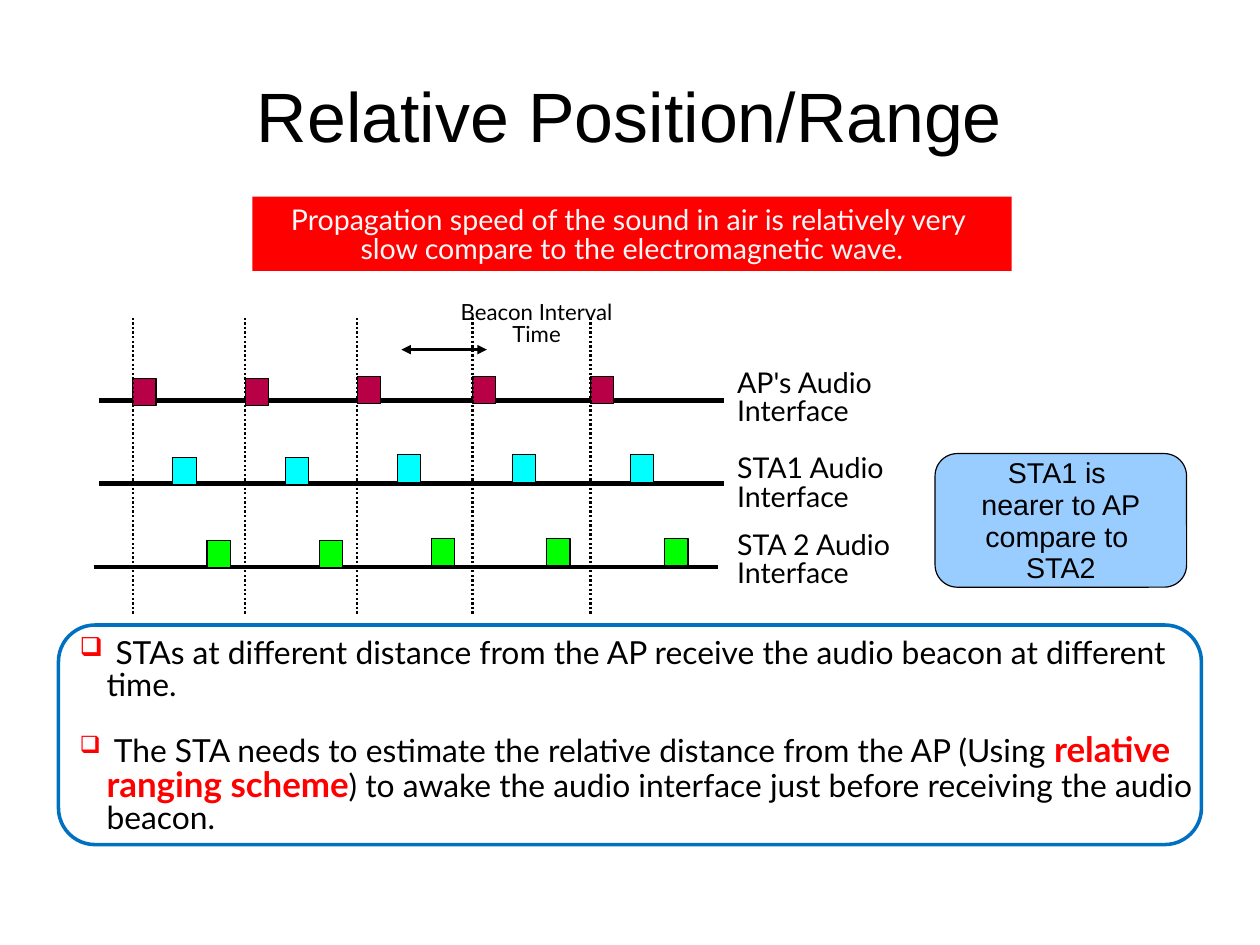
from dataclasses import dataclass

from lxml import etree
from pptx import Presentation
from pptx.dml.color import RGBColor
from pptx.enum import dml, shapes, text
from pptx.oxml import ns
from pptx.util import Cm, Pt

HUE = {"black": "000000", "white": "FFFFFF", "pale": "F8F8F8", "red": "FF0000",
       "blue": "0070C0", "sky": "99CCFF", "wine": "B80047", "cyan": "00FFFF",
       "green": "00FF00"}
BEATS = (2.95, 5.45, 7.94, 10.5, 13.12)
MID = text.PP_ALIGN.CENTER
BOX = shapes.MSO_SHAPE.RECTANGLE
ROUND = shapes.MSO_SHAPE.ROUNDED_RECTANGLE


@dataclass
class Run:
    text: str
    size: float
    color: str = "black"
    bold: bool = False


@dataclass
class Track:
    label: str
    color: str
    left: float
    line: float
    top: float
    delay: float
    label_top: float
    label_wide: float


TRACKS = (
    Track("AP's Audio Interface", "wine", 2.21, 8.9, 8.36, 0, 7.98, 4.24),
    Track("STA1 Audio Interface", "cyan", 2.21, 10.74, 10.11, 0.89, 9.88, 5.38),
    Track("STA 2 Audio Interface", "green", 2.08, 12.6, 11.96, 1.65, 11.58, 4.95),
)


def rgb(name: str) -> RGBColor:
    return RGBColor.from_string(HUE[name])


def shape(kind, x: float, y: float, w: float, h: float, fill: str,
          edge: str = "", width: float = 0.75):
    item = slide.shapes.add_shape(kind, Cm(x), Cm(y), Cm(w), Cm(h))
    item.shadow.inherit = False
    item.fill.solid()
    item.fill.fore_color.rgb = rgb(fill)
    if edge:
        item.line.color.rgb = rgb(edge)
        item.line.width = Pt(width)
    else:
        item.line.fill.background()
    return item


def area(x: float, y: float, w: float, h: float):
    return slide.shapes.add_textbox(Cm(x), Cm(y), Cm(w), Cm(h))


def write(item, *lines, size: float = 18, font: str = "Lato", color: str = "black",
          align=text.PP_ALIGN.LEFT, pitch: float = 0.83, wrap: bool = True,
          anchor=text.MSO_ANCHOR.TOP, pad=(0.25, 0.25, 0.25, 0.13),
          gap: float = 0, bullet: str = "") -> None:
    """Fill a shape; each line is a string or a list of Run."""
    frame = item.text_frame
    frame.word_wrap = wrap
    frame.vertical_anchor = anchor
    (frame.margin_left, frame.margin_top,
     frame.margin_right, frame.margin_bottom) = map(Cm, pad)
    for i, line in enumerate(lines):
        para = frame.add_paragraph() if i else frame.paragraphs[0]
        para.alignment = align
        para.line_spacing = pitch
        para.space_before = Pt(gap if i else 0)
        if bullet:
            mark(para, bullet)
        runs = [Run(line, size, color)] if isinstance(line, str) else line
        for part in runs:
            run = para.add_run()
            run.text = part.text
            run.font.name = font
            run.font.size = Pt(part.size)
            run.font.bold = part.bold
            run.font.color.rgb = rgb(part.color)


def mark(para, sign: str) -> None:
    """Give a paragraph a red hanging bullet."""
    props = para._p.get_or_add_pPr()
    props.set("marL", str(Cm(0.6)))
    props.set("indent", str(-Cm(0.6)))
    tint = etree.SubElement(props, ns.qn("a:buClr"))
    etree.SubElement(tint, ns.qn("a:srgbClr"), val=HUE["red"])
    etree.SubElement(props, ns.qn("a:buSzPct"), val="75000")
    etree.SubElement(props, ns.qn("a:buChar"), char=sign)


def rule(x1: float, y1: float, x2: float, y2: float, width: float,
         dots: bool = False, heads: bool = False) -> None:
    line = slide.shapes.add_connector(shapes.MSO_CONNECTOR.STRAIGHT,
                                      Cm(x1), Cm(y1), Cm(x2), Cm(y2))
    line.line.color.rgb = rgb("black")
    line.line.width = Pt(width)
    if dots:
        line.line.dash_style = dml.MSO_LINE.ROUND_DOT
    if heads:
        stroke = line.line._get_or_add_ln()
        for end in ("a:headEnd", "a:tailEnd"):
            etree.SubElement(stroke, ns.qn(end), type="triangle")
    etree.SubElement(line._element.spPr, ns.qn("a:effectLst"))


def draw(track: Track) -> None:
    rule(track.left, track.line, track.left + 13.87, track.line, 2.89)
    write(area(16.13, track.label_top, track.label_wide, 1.8), track.label)
    for i, beat in enumerate(BEATS):
        drop = 0.05 if i < 2 else 0
        shape(BOX, beat + track.delay, track.top + drop, 0.52, 0.61,
              track.color, "black")


deck = Presentation()
deck.slide_width, deck.slide_height = Cm(28), Cm(21)
slide = deck.slides.add_slide(deck.slide_layouts[6])

write(area(1.4, 0.97, 25.2, 3.25), "Relative Position/Range", size=44, font="Arial",
      align=MID, pitch=0.93, anchor=text.MSO_ANCHOR.MIDDLE, pad=(0, 0.1, 0, 0))
shape(ROUND, 1.3, 13.89, 25.4, 4.88, "white", "blue", 2.25)

for track in TRACKS[:2]:
    draw(track)
for beat in BEATS:
    rule(beat, 7.06, beat, 13.67, 1.45, dots=True)
draw(TRACKS[2])

write(area(1.52, 13.89, 26.04, 4.88),
      [Run(" ", 22),
       Run("STAs at different distance from the AP receive the audio beacon "
           "at different time.", 20)],
      [Run(" The STA needs to estimate the relative distance from the AP (Using ", 20),
       Run("relative ranging scheme", 22, "red", True),
       Run(") to awake the audio interface just before receiving the audio beacon.", 20)],
      gap=20, bullet="❑")

write(shape(ROUND, 20.78, 10.08, 5.59, 2.97, "sky", "black"),
      "STA1 is ", "nearer to AP", "compare to ", "STA2", font="Arial", align=MID,
      pitch=0.93, anchor=text.MSO_ANCHOR.MIDDLE, pad=(0.25, 0.18, 0.25, 0.13))
write(area(9.78, 6.48, 4.29, 1.98), "Beacon Interval Time", size=14, align=MID)
rule(8.92, 7.77, 10.82, 7.77, 1.5, heads=True)
write(shape(BOX, 5.61, 4.37, 16.87, 1.65, "red"),
      "Propagation speed of the sound in air is relatively very ",
      "slow compare to the electromagnetic wave.",
      color="pale", align=MID, wrap=False)

deck.save("out.pptx")
